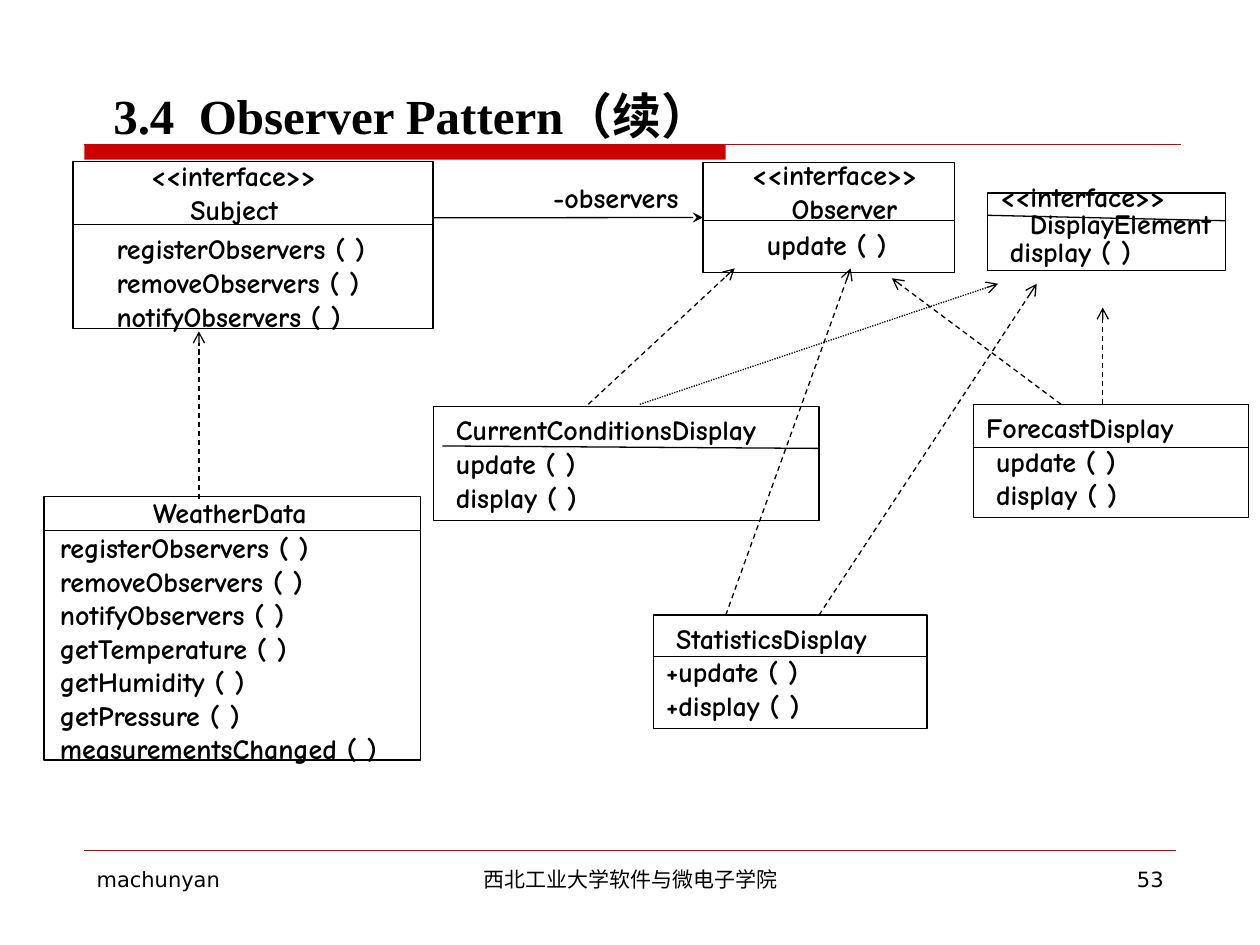
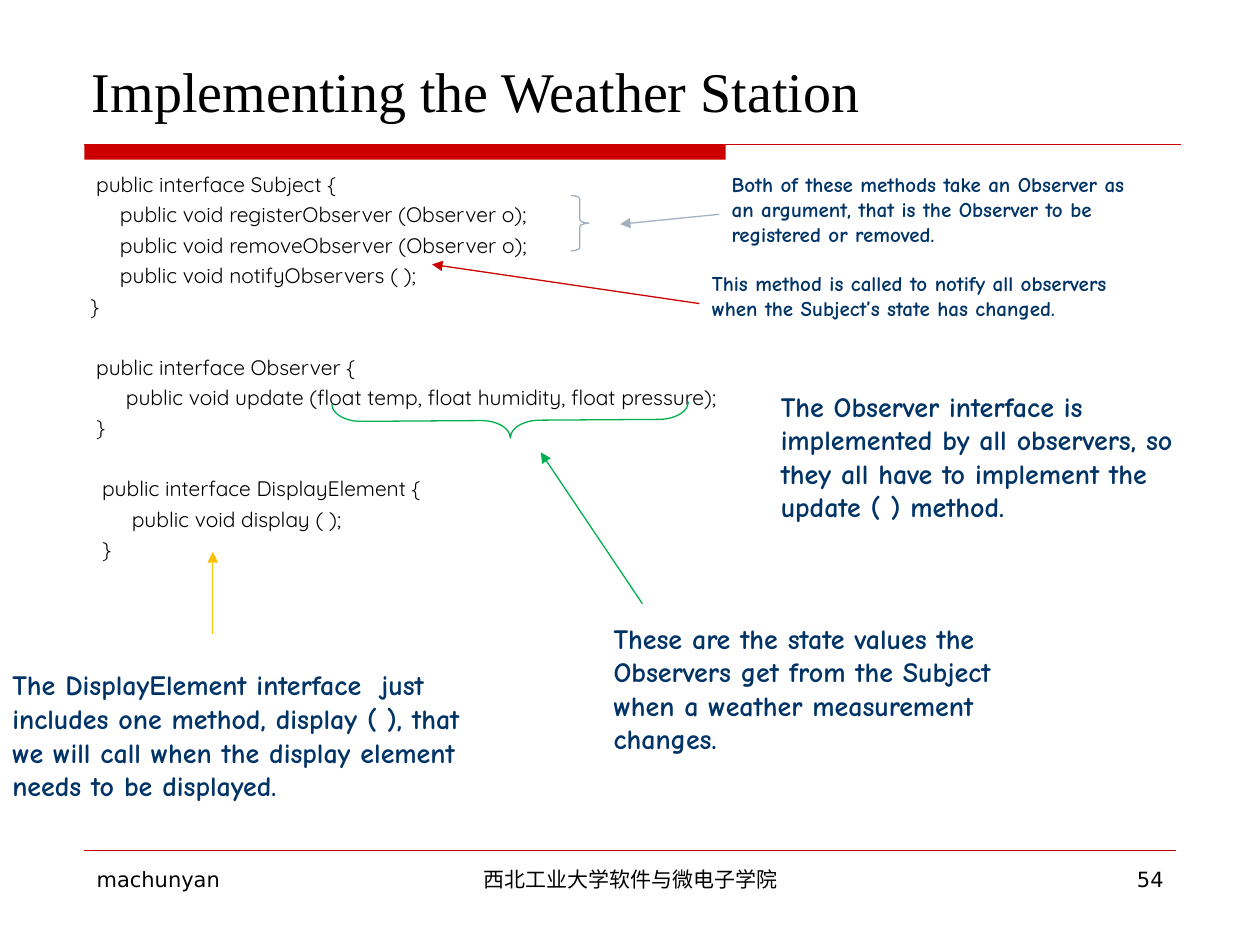
"""Build two slides on the Observer pattern: its class diagram and its interfaces."""
from dataclasses import dataclass

from lxml import etree
from pptx import Presentation
from pptx.dml.color import RGBColor
from pptx.enum.dml import MSO_LINE
from pptx.enum.shapes import MSO_CONNECTOR, MSO_SHAPE
from pptx.enum.text import MSO_ANCHOR, MSO_AUTO_SIZE, PP_ALIGN
from pptx.oxml.ns import qn
from pptx.util import Cm, Pt

RECT, BRACE = MSO_SHAPE.RECTANGLE, MSO_SHAPE.RIGHT_BRACE
DASH, DOTS = MSO_LINE.DASH, MSO_LINE.ROUND_DOT
LEFT, MID, RIGHT = PP_ALIGN.LEFT, PP_ALIGN.CENTER, PP_ALIGN.RIGHT
TOP, LOW = MSO_ANCHOR.TOP, MSO_ANCHOR.BOTTOM


@dataclass(frozen=True)
class Theme:
    ink: str = "000000"
    paper: str = "FFFFFF"
    red: str = "CC0000"
    navy: str = "003366"
    green: str = "00B050"
    gold: str = "FFC000"
    grey: str = "9FAEBD"
    mist: str = "A3B2C1"
    serif: str = "Times New Roman"
    sans: str = "DejaVu Sans"
    hand: str = "Comic Neue"
    code: str = "Quicksand"
    small: int = 12
    text: int = 16
    thin: float = 0.75
    hair: float = 0.25
    step: float = 0.2
    notch: float = 0.12


look = Theme()


def write(frame, lines, size, font, tone=look.ink, bold=False, align=LEFT, anchor=TOP, step=look.step):
    """Fill a frame with (indent steps, text) lines and return its paragraphs."""
    frame.word_wrap = True
    frame.auto_size = MSO_AUTO_SIZE.NONE
    frame.vertical_anchor = anchor
    for i, (steps, text) in enumerate(lines):
        para = frame.paragraphs[0] if i == 0 else frame.add_paragraph()
        para.text = text
        para.alignment = align
        para.font.name, para.font.size, para.font.bold = font, Pt(size), bold
        para.font.color.rgb = RGBColor.from_string(tone)
        if steps:
            para._p.get_or_add_pPr().set("marL", str(int(Cm(steps * step))))
    return frame.paragraphs


def join(slide, ends, tone=look.ink, width=look.thin, dash=None, head=None):
    """Draw a straight line, with an optional dash and arrowhead."""
    link = slide.shapes.add_connector(MSO_CONNECTOR.STRAIGHT, *map(Cm, ends))
    link.line.color.rgb = RGBColor.from_string(tone)
    link.line.width = Pt(width)
    if dash:
        link.line.dash_style = dash
    props = link._element.spPr
    if head:
        etree.SubElement(props.find(qn("a:ln")), qn("a:tailEnd"), type=head)
    etree.SubElement(props, qn("a:effectLst"))
    return link


deck = Presentation()
deck.slide_width, deck.slide_height = Cm(25.4), Cm(19.05)

heads = [
    ("3.4  Observer Pattern（续）", 2.03, 0.74, 28, True),
    ("Implementing the Weather Station", 1.6, 0.33, 32, False),
]
for page, (text, x, y, size, bold) in enumerate(heads, 53):
    slide = deck.slides.add_slide(deck.slide_layouts[5])
    band = slide.shapes.add_shape(RECT, Cm(1.7), Cm(2.92), Cm(12.93), Cm(0.3))
    band.shadow.inherit = False
    band.fill.solid()
    band.fill.fore_color.rgb = RGBColor.from_string(look.red)
    band.line.fill.background()
    join(slide, (1.7, 2.92, 23.8, 2.92), look.red)
    join(slide, (1.7, 17.15, 23.7, 17.15), look.red, look.hair)
    title = slide.shapes.title
    title.left, title.top, title.width, title.height = Cm(x), Cm(y), Cm(22.23), Cm(2.29)
    write(title.text_frame, [(0, text)], size, look.serif, bold=bold, anchor=LOW)
    foot = [
        ("machunyan", 1.7, 5.5, LEFT),
        ("西北工业大学软件与微电子学院", 8.69, 8.05, MID),
        (str(page), 18.21, 5.5, RIGHT),
    ]
    for label, x, width, align in foot:
        box = slide.shapes.add_textbox(Cm(x), Cm(17.35), Cm(width), Cm(1.32))
        write(box.text_frame, [(0, label)], look.small, look.sans, align=align)

chart, station = deck.slides

calls = [(1, "registerObservers ( )"), (1, "removeObservers ( )"), (1, "notifyObservers ( )")]
both = [(1, "update ( )"), (1, "display ( )")]
frames = {
    "Forecast": (19.63, 8.15, 5.54, 2.29, 0, 9.02, 9.02, [(0, "ForecastDisplay"), *both]),
    "Subject": (1.47, 3.25, 7.26, 3.38, 0, 4.52, 4.52, []),
    "Observer": (14.17, 3.28, 5.08, 2.21, 0, 4.45, 4.45, []),
    "Weather": (0.89, 10.01, 7.59, 5.31, 0, 10.69, 10.69, []),
    "Current": (8.74, 8.2, 7.77, 2.29, 0.18, 8.99, 9.04,
                [(1, "CurrentConditionsDisplay"), *both]),
    "Statistics": (13.18, 12.4, 5.51, 2.29, 0, 13.23, 13.23,
                   [(1, "StatisticsDisplay"), (0, "+update ( )"), (0, "+display ( )")]),
    "Display": (19.91, 3.89, 4.8, 1.57, 0, 4.34, 4.45,
                [(0, "<<interface>>"), (3, "DisplayElement"), (1, "display ( )")]),
}
boxes = {}
for name, (x, y, width, height, lag, start, end, lines) in frames.items():
    box = chart.shapes.add_shape(RECT, Cm(x), Cm(y), Cm(width), Cm(height))
    box.shadow.inherit = False
    box.fill.background()
    box.line.color.rgb = RGBColor.from_string(look.ink)
    box.line.width = Pt(look.thin)
    write(box.text_frame, lines, look.text, look.hand, bold=True)
    join(chart, (x + lag, start, x + width, end))
    boxes[name] = box
boxes["Forecast"].fill.solid()
boxes["Forecast"].fill.fore_color.rgb = RGBColor.from_string(look.paper)
for para in boxes["Display"].text_frame.paragraphs:
    para.line_spacing, para.space_before = 0.3, Pt(10)

labels = [
    (2.79, 3.07, 4.2, 1.63, [(0, "<<interface>>"), (4, "Subject")]),
    (1.9, 4.55, 6, 2.29, calls),
    (14.91, 3.05, 4.2, 1.63, [(0, "<<interface>>"), (4, "Observer")]),
    (14.81, 4.47, 3.81, 0.94, [(2, "update ( )")]),
    (10.9, 3.51, 3.2, 0.94, [(0, "-observers")]),
    (2.84, 9.86, 4, 0.94, [(0, "WeatherData")]),
    (0.76, 10.57, 8, 5, calls + [
        (1, "getTemperature ( )"), (1, "getHumidity ( )"),
        (1, "getPressure ( )"), (1, "measurementsChanged ( )")]),
]
for x, y, width, height, lines in labels:
    box = chart.shapes.add_textbox(Cm(x), Cm(y), Cm(width), Cm(height))
    write(box.text_frame, lines, look.text, look.hand, bold=True)

join(chart, (8.74, 4.39, 14.17, 4.39), head="stealth").end_connect(boxes["Observer"], 1)
links = [
    (16.51, 12.4, 20.9, 5.72),
    (4.01, 10.06, 4.01, 6.68),
    (11.86, 8.15, 14.81, 5.41),
    (14.63, 12.4, 17.15, 5.41),
    (21.39, 8.15, 17.98, 5.61),
    (22.23, 8.15, 22.23, 6.2),
]
for ends in links:
    join(chart, ends, dash=DASH, head="arrow")
join(chart, (12.9, 8.15, 20.12, 5.72), dash=DOTS, head="arrow")

code = [
    (1, "public interface Subject {"),
    (5, "public void registerObserver (Observer o);"),
    (5, "public void removeObserver (Observer o);"),
    (5, "public void notifyObservers ( );"),
    (0, "}"),
    (1, "public interface Observer {"),
    (6, "public void update (float temp, float humidity, float pressure);"),
    (1, "}"),
    (2, "public interface DisplayElement {"),
    (7, "public void display ( );"),
    (2, "}"),
]
body = station.shapes.add_textbox(Cm(1.57), Cm(3.33), Cm(22.23), Cm(13.39))
paras = write(body.text_frame, code, look.small, look.code, step=look.notch)
for i, para in enumerate(paras):
    fresh = i and para.text.startswith("public interface")
    para.space_before = Pt(20.4 if fresh else 3)

braces = [
    (11.51, 3.94, 0.36, 1.12, 0, 0.2, look.grey),
    (9.93, 4.88, 0.71, 7.19, 89.6, 0.83, look.green),
]
for x, y, width, height, turn, bend, tone in braces:
    brace = station.shapes.add_shape(BRACE, Cm(x), Cm(y), Cm(width), Cm(height))
    brace.shadow.inherit = False
    brace.fill.background()
    brace.line.color.rgb = RGBColor.from_string(tone)
    brace.line.width = Pt(look.thin)
    brace.rotation = turn
    brace.adjustments[0] = bend

notes = [
    (14.5, 3.33, 8.81, 1.78, look.small,
     "Both of these methods take an Observer as an argument, "
     "that is the Observer to be registered or removed."),
    (14.1, 5.33, 8.81, 1.27, look.small,
     "This method is called to notify all observers when the Subject’s state has changed."),
    (15.49, 7.72, 8.81, 2.97, look.text,
     "The Observer interface is implemented by all observers, "
     "so they all have to implement the update ( ) method."),
    (12.12, 12.4, 9.37, 2.97, look.text,
     "These are the state values the Observers get from the Subject "
     "when a weather measurement changes."),
    (0, 13.34, 9.63, 2.97, look.text,
     "The DisplayElement interface  just includes one method, display ( ), "
     "that we will call when the display element needs to be displayed."),
]
for x, y, width, height, size, text in notes:
    box = station.shapes.add_textbox(Cm(x), Cm(y), Cm(width), Cm(height))
    write(box.text_frame, [(0, text)], size, look.hand, look.navy, True)

arrows = [
    (14.5, 4.32, 12.5, 4.52, look.mist),
    (14.1, 6.12, 8.71, 5.33, look.red),
    (12.95, 12.17, 10.9, 9.12, look.green),
    (4.29, 12.78, 4.29, 11.13, look.gold),
]
for *ends, tone in arrows:
    join(station, ends, tone, head="triangle")

deck.save("out.pptx")
